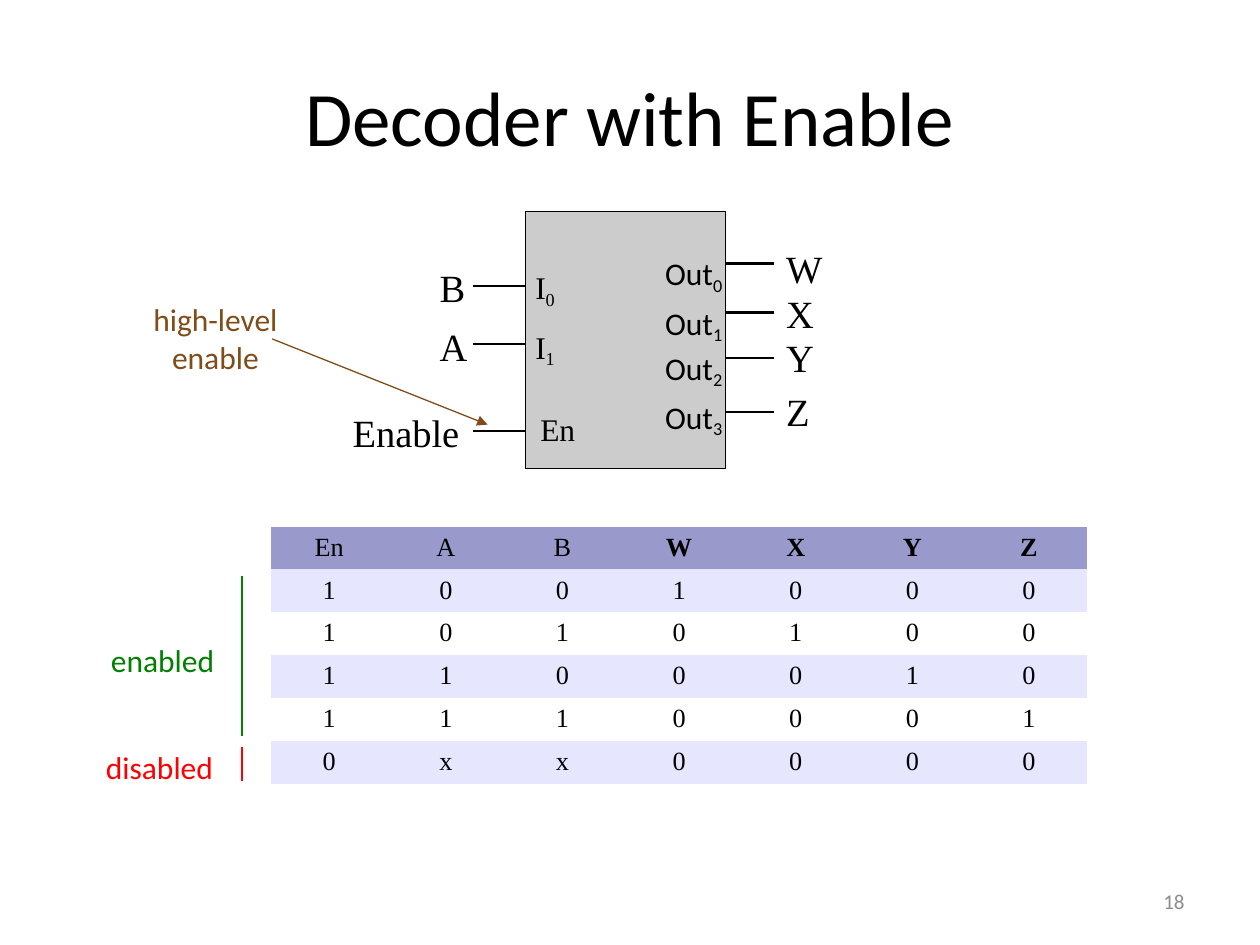
from dataclasses import dataclass
from typing import Any

from lxml.etree import SubElement
from pptx import Presentation
from pptx.dml.color import RGBColor
from pptx.enum.shapes import MSO_CONNECTOR, MSO_SHAPE
from pptx.enum.text import MSO_ANCHOR, PP_ALIGN
from pptx.oxml.ns import qn
from pptx.util import Emu, Pt

PX = 9144
NO_STYLE = "{2D5ABB26-0587-4C30-8999-92F81FD0307C}"
COLORS = {
    "ink": "000000",
    "number": "8C8C8C",
    "chip": "CCCCCC",
    "header": "9999CC",
    "band": "E6E6FF",
    "plain": "FFFFFF",
    "enabled": "008000",
    "disabled": "FF0000",
    "note": "804C19",
}
INPUTS = [
    ("B", 339, 205, 38, "I", "0", 415, 207, 34, 227),
    ("A", 339, 252, 40, "I", "1", 415, 254, 34, 273),
    ("Enable", 270, 320, 102, "En", "", 419, 322, 46, 342),
]
OUTPUTS = [
    ("W", 190, 46, "0", 195, 209),
    ("X", 226, 40, "1", 234, 248),
    ("Y", 261, 40, "2", 270, 284),
    ("Z", 304, 36, "3", 309, 327),
]
TRUTH_HEADER = ["En", *"ABWXYZ"]
TRUTH_ROWS = ["1001000", "1010100", "1100010", "1110001", "0xx0000"]


def px(*lengths):
    return [Emu(length * PX) for length in lengths]


def rgb(color):
    return RGBColor.from_string(COLORS[color])


@dataclass
class Deck:
    slide: Any
    sans: str = "Calibri"
    serif: str = "Times New Roman"

    def format(self, paragraph, size, font, color="ink", align=None, spacing=None, bold=None):
        paragraph.font.size = Pt(size)
        paragraph.font.name = font
        paragraph.font.color.rgb = rgb(color)
        paragraph.font.bold = bold
        paragraph.alignment = align
        paragraph.line_spacing = spacing

    def inset(self, holder, *margins):
        (holder.margin_left, holder.margin_top,
         holder.margin_right, holder.margin_bottom) = px(*margins)

    def title(self, text, *box):
        heading = self.slide.shapes.title
        heading.left, heading.top, heading.width, heading.height = px(*box)
        frame = heading.text_frame
        frame.text = text
        frame.vertical_anchor = MSO_ANCHOR.MIDDLE
        self.inset(frame, 10, 4, 10, 5)
        self.format(frame.paragraphs[0], 44, self.sans, align=PP_ALIGN.CENTER)

    def label(self, lines, box, size=18, subscript="", margins=(10, 7, 0, 5),
              wrap=False, anchor=MSO_ANCHOR.TOP, font=None, **style):
        frame = self.slide.shapes.add_textbox(*px(*box)).text_frame
        frame.word_wrap = wrap
        frame.vertical_anchor = anchor
        self.inset(frame, *margins)
        frame.text = lines
        for paragraph in frame.paragraphs:
            self.format(paragraph, size, font or self.sans, **style)
        if subscript:
            index = frame.paragraphs[0].add_run()
            index.text = subscript
            index.font._element.set("baseline", "-20000")

    def signal(self, name, box):
        self.label(name, box, size=22, font=self.serif, spacing=0.95)

    def line(self, *ends, color="ink", width=1.45, arrow=False):
        wire = self.slide.shapes.add_connector(MSO_CONNECTOR.STRAIGHT, *px(*ends))
        wire.line.color.rgb = rgb(color)
        wire.line.width = Pt(width)
        if arrow:
            SubElement(wire.line._get_or_add_ln(), qn("a:tailEnd"), type="triangle")
        SubElement(wire._element.spPr, qn("a:effectLst"))

    def block(self, *box):
        chip = self.slide.shapes.add_shape(MSO_SHAPE.RECTANGLE, *px(*box))
        chip.shadow.inherit = False
        chip.fill.solid()
        chip.fill.fore_color.rgb = rgb("chip")
        chip.line.color.rgb = rgb("ink")
        chip.line.width = Pt(0.75)

    def table(self, header, rows, *box):
        grid = [header, *rows]
        frame = self.slide.shapes.add_table(len(grid), len(header), *px(*box))
        frame._element.find(".//" + qn("a:tableStyleId")).text = NO_STYLE
        for r, values in enumerate(grid):
            fill = "header" if r == 0 else "band" if r % 2 else "plain"
            for c, value in enumerate(values):
                cell = frame.table.cell(r, c)
                cell.text = value
                cell.fill.solid()
                cell.fill.fore_color.rgb = rgb(fill)
                self.inset(cell, 9, 6, 9, 4)
                self.format(cell.text_frame.paragraphs[0], 15, self.serif,
                            align=PP_ALIGN.CENTER, spacing=0.95, bold=r == 0 and c > 2)


def main():
    presentation = Presentation()
    presentation.slide_width, presentation.slide_height = px(1000, 750)
    deck = Deck(presentation.slides.add_slide(presentation.slide_layouts[5]))

    deck.title("Decoder with Enable", 50, 34, 900, 116)
    deck.label("18", (717, 695, 233, 40), size=12, color="number", wrap=True,
               align=PP_ALIGN.RIGHT, anchor=MSO_ANCHOR.MIDDLE, margins=(10, 5, 10, 5))

    deck.table(TRUTH_HEADER, TRUTH_ROWS, 215, 418, 648, 204)
    for state, left, top, width, start, end in [
        ("enabled", 79, 503, 98, 457, 584),
        ("disabled", 75, 588, 102, 593, 620),
    ]:
        deck.line(192, start, 192, end, color=state)
        deck.label(state, (left, top, width, 34), margins=(9, 6, 0, 4), color=state)

    deck.label("high-level\nenable", (114, 231, 114, 60), margins=(3, 7, 3, 5),
               color="note", align=PP_ALIGN.CENTER)
    deck.line(216, 269, 387, 337, color="note", width=0.75, arrow=True)

    for *_, wire in INPUTS:
        deck.line(375, wire, 443, wire)
    for *_, wire in OUTPUTS:
        deck.line(546, wire, 614, wire)
    deck.block(417, 168, 159, 204)

    for name, left, top, width, pin, index, pin_left, pin_top, pin_width, _ in INPUTS:
        deck.signal(name, (left, top, width, 43))
        deck.label(pin, (pin_left, pin_top, pin_width, 40), subscript=index,
                   margins=(10, 6, 0, 5), font=deck.serif, spacing=0.95)
    for name, top, width, index, pin_top, _ in OUTPUTS:
        deck.signal(name, (614, top, width, 43))
        deck.label("Out", (518, pin_top, 62, 37), subscript=index)

    presentation.save("out.pptx")


if __name__ == "__main__":
    main()
